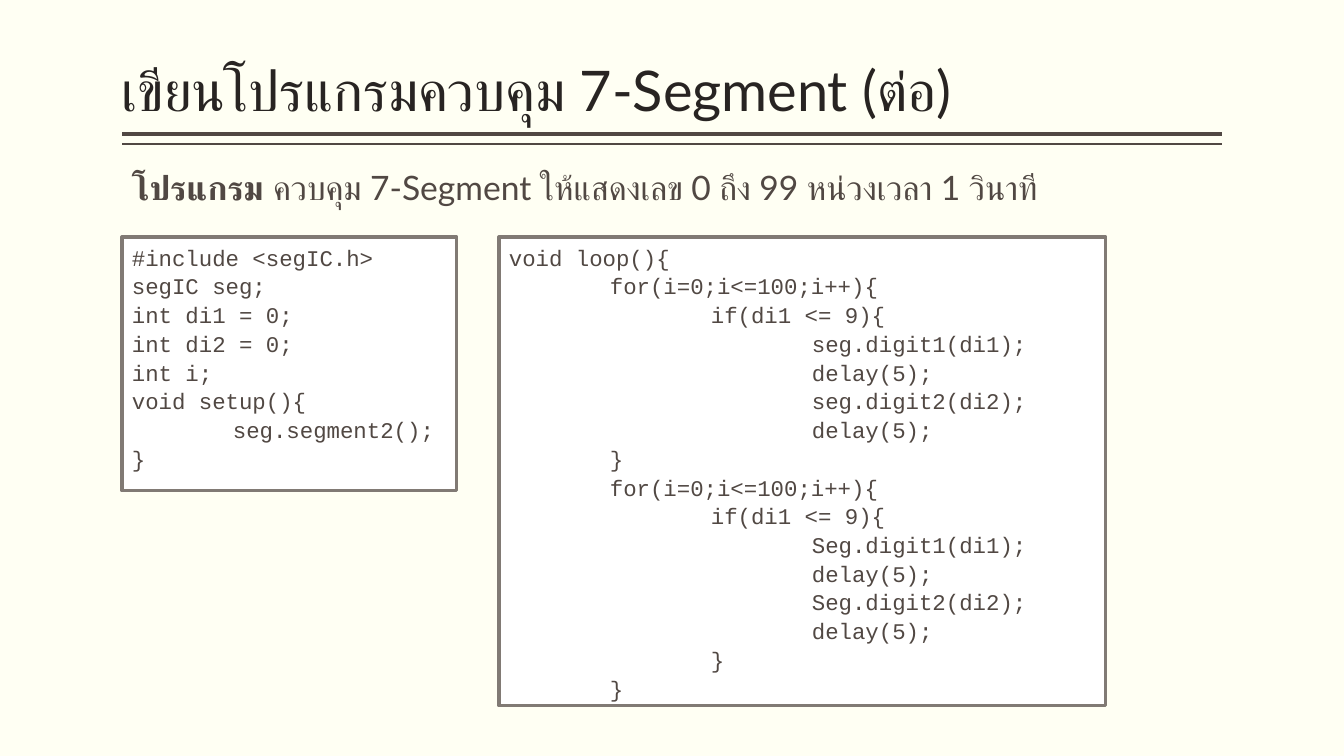
import pptx
import pptx.util
import pptx.dml.color
import pptx.enum.shapes
import pptx.enum.text
import pptx.oxml.ns
import lxml.etree

EMU_PER_PX = 914400 / 100.8
SLIDE_SIZE = (1344, 756)
PAPER, WHITE, INK, BROWN, FRAME = "FFFFF3", "FFFFFF", "282422", "514843", "817A74"
LEFT, RIGHT = 122, 1222
TAB_STEP, TAB_COUNT = 101, 3

HEADING = [("เขียนโปรแกรมควบคุม 7-Segment (ต่อ)", False)]
TASK = [
    ("โปรแกรม ", True),
    ("ควบคุม 7-Segment ให้แสดงเลข 0 ถึง 99 หน่วงเวลา 1 วินาที", False),
]
RULES = [(134, 3), (144, 1)]

SETUP_CODE = """#include <segIC.h>
segIC seg;
int di1 = 0;
int di2 = 0;
int i;
void setup(){
\tseg.segment2();
}"""
LOOP_CODE = """void loop(){
\tfor(i=0;i<=100;i++){
\t\tif(di1 <= 9){
\t\t\tseg.digit1(di1);
\t\t\tdelay(5);
\t\t\tseg.digit2(di2);
\t\t\tdelay(5);
\t}
\tfor(i=0;i<=100;i++){
\t\tif(di1 <= 9){
\t\t\tSeg.digit1(di1);
\t\t\tdelay(5);
\t\t\tSeg.digit2(di2);
\t\t\tdelay(5);
\t\t}
\t}"""
LISTINGS = [
    ((LEFT, 237, 335, 254), SETUP_CODE),
    ((499, 237, 607, 469), LOOP_CODE),
]

TITLE_FONT = {"name": "Lato", "size": pptx.util.Pt(40)}
TASK_FONT = {"name": "Lato", "size": pptx.util.Pt(24)}
CODE_FONT = {"name": "Courier New", "size": pptx.util.Pt(16)}
TOP = {"word_wrap": True, "vertical_anchor": pptx.enum.text.MSO_ANCHOR.TOP}
TITLE_FRAME = {
    "word_wrap": True,
    "vertical_anchor": pptx.enum.text.MSO_ANCHOR.BOTTOM,
    "margin_left": 0,
    "margin_right": 0,
}


def px(*lengths):
    return [pptx.util.Emu(round(length * EMU_PER_PX)) for length in lengths]


def color(value):
    return pptx.dml.color.RGBColor.from_string(value)


def apply(target, values):
    for name, value in values.items():
        setattr(target, name, value)


def write(frame, lines, frame_format, font_format, ink, spacing):
    apply(frame, frame_format)
    for index, pieces in enumerate(lines):
        paragraph = frame.add_paragraph() if index else frame.paragraphs[0]
        paragraph.alignment = pptx.enum.text.PP_ALIGN.LEFT
        paragraph.line_spacing = spacing
        for words, bold in pieces:
            run = paragraph.add_run()
            run.text = words
            apply(run.font, {**font_format, "bold": bold})
            run.font.color.rgb = color(ink)


def add_tab_stops(paragraph):
    properties = paragraph._p.get_or_add_pPr()
    stops = lxml.etree.SubElement(properties, pptx.oxml.ns.qn("a:tabLst"))
    for position in px(*(TAB_STEP * n for n in range(1, TAB_COUNT + 1))):
        stop = lxml.etree.SubElement(stops, pptx.oxml.ns.qn("a:tab"))
        stop.set("pos", str(int(position)))
        stop.set("algn", "l")


def add_rule(slide, y, weight):
    rule = slide.shapes.add_connector(
        pptx.enum.shapes.MSO_CONNECTOR.STRAIGHT, *px(RIGHT, y, LEFT, y)
    )
    rule.line.color.rgb = color(BROWN)
    rule.line.width = pptx.util.Pt(weight)
    properties = rule.element.find(pptx.oxml.ns.qn("p:spPr"))
    lxml.etree.SubElement(properties, pptx.oxml.ns.qn("a:effectLst"))


def add_listing(slide, place, code):
    listing = slide.shapes.add_shape(
        pptx.enum.shapes.MSO_SHAPE.RECTANGLE, *px(*place)
    )
    listing.shadow.inherit = False
    listing.fill.solid()
    listing.fill.fore_color.rgb = color(WHITE)
    listing.line.color.rgb = color(FRAME)
    listing.line.width = pptx.util.Pt(2.25)
    lines = [[(line, False)] for line in code.splitlines()]
    write(listing.text_frame, lines, TOP, CODE_FONT, BROWN, 1.07)
    for paragraph in listing.text_frame.paragraphs:
        add_tab_stops(paragraph)


def main():
    deck = pptx.Presentation()
    deck.slide_width, deck.slide_height = px(*SLIDE_SIZE)
    slide = deck.slides.add_slide(deck.slide_layouts[6])
    slide.background.fill.solid()
    slide.background.fill.fore_color.rgb = color(PAPER)

    for y, weight in RULES:
        add_rule(slide, y, weight)
    title = slide.shapes.add_textbox(*px(LEFT, 8, RIGHT - LEFT, 121))
    write(title.text_frame, [HEADING], TITLE_FRAME, TITLE_FONT, INK, 0.9)
    task = slide.shapes.add_textbox(*px(LEFT, 162, 1163, 50))
    write(task.text_frame, [TASK], TOP, TASK_FONT, BROWN, 1.0)
    for place, code in LISTINGS:
        add_listing(slide, place, code)
    deck.save("out.pptx")


if __name__ == "__main__":
    main()
